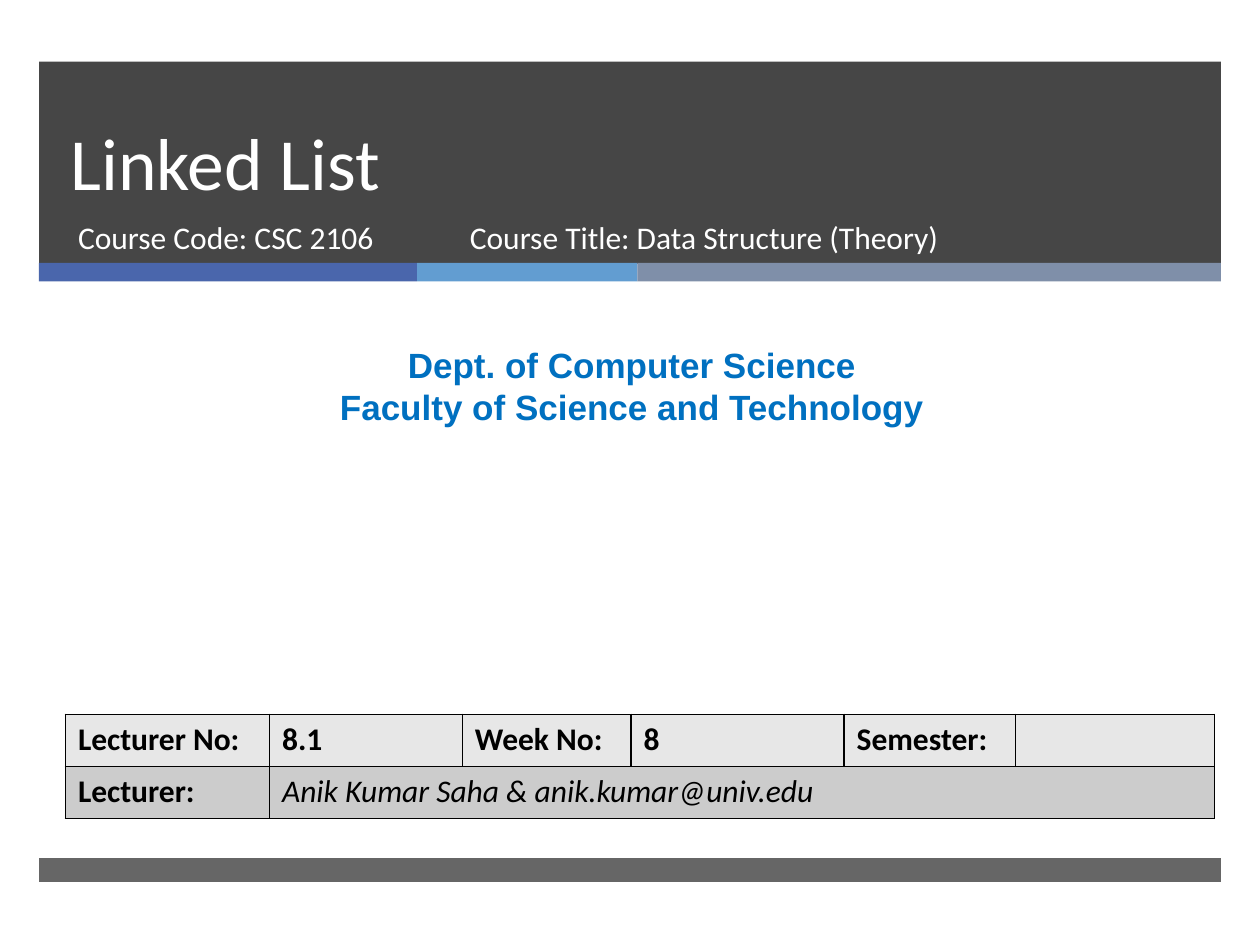
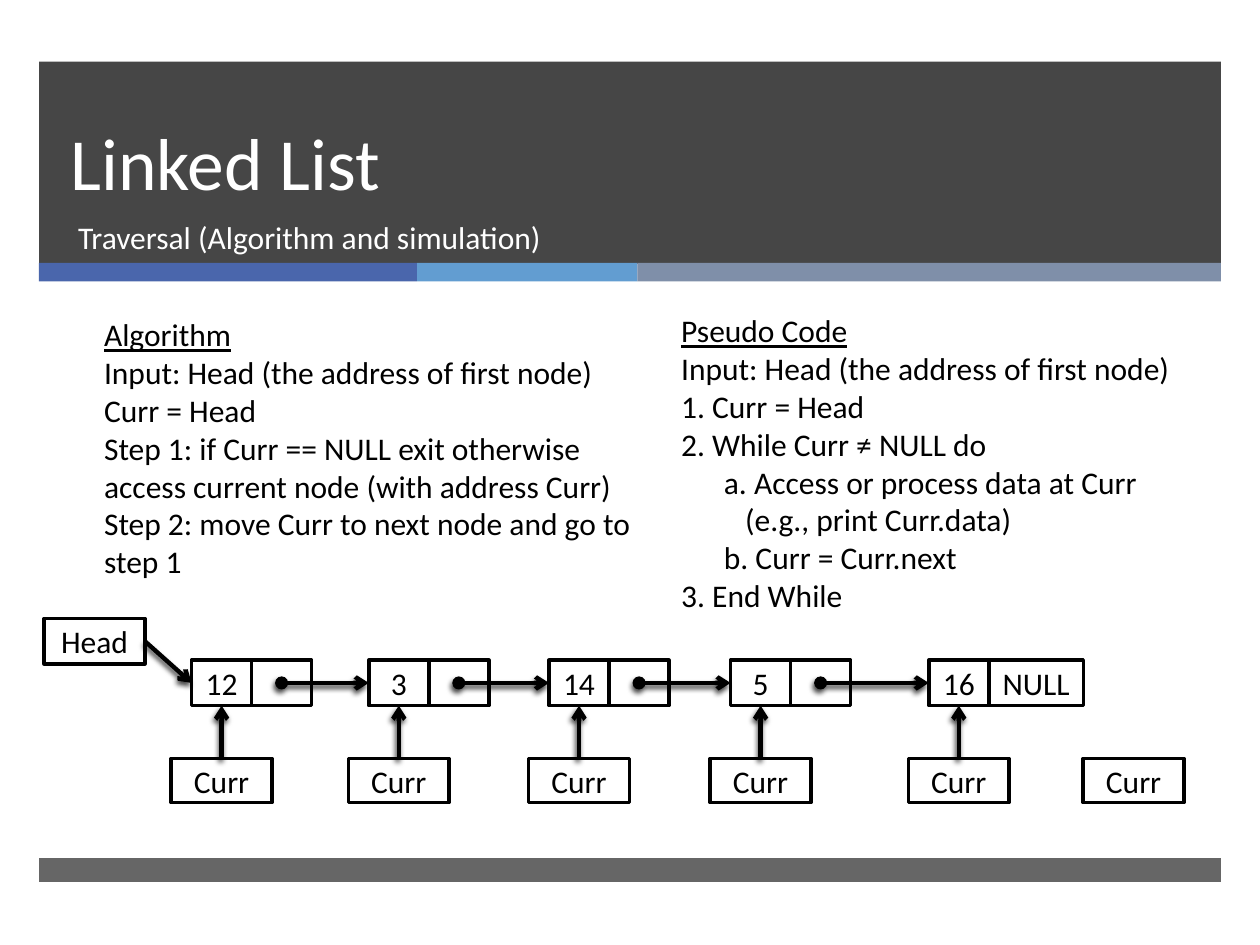
from pptx import Presentation
from pptx.dml.color import RGBColor
from pptx.enum.shapes import MSO_CONNECTOR, MSO_SHAPE
from pptx.enum.text import MSO_ANCHOR, MSO_AUTO_SIZE, PP_ALIGN
from pptx.oxml import parse_xml
from pptx.oxml.ns import nsdecls
from pptx.util import Pt

RECT = MSO_SHAPE.RECTANGLE
LINE = MSO_CONNECTOR.STRAIGHT
LEFT, MID = PP_ALIGN.LEFT, PP_ALIGN.CENTER
TOP, CENTRE, LOW = MSO_ANCHOR.TOP, MSO_ANCHOR.MIDDLE, MSO_ANCHOR.BOTTOM
GROW, FIXED = MSO_AUTO_SIZE.SHAPE_TO_FIT_TEXT, MSO_AUTO_SIZE.NONE

HEX = {
    "dark": "262626", "blue": "4A66AC", "sky": "629DD1", "slate": "7F8FA9",
    "white": "FFFFFF", "black": "000000", "dept": "0070C0",
    "light": "E7E7E7", "grey": "CCCCCC",
}
NS = nsdecls("a")

# Layout measures, in points
EDGE, WIDE = 22.3, 675.4
NODE_Y, NODE_H, CELL_W = 377.3, 25.9, 34.3
CURR_Y, CURR_W, CURR_H = 433.4, 57.6, 25.2
NODES = [("12", 109.5), ("3", 210.75), ("14", 313.75), ("5", 417.5), ("16", 530.75)]


def rgb(name):
    return RGBColor.from_string(HEX[name])


def pts(*nums):
    return [Pt(n) for n in nums]


# Text
def write(frame, lines, size=18, font="Calibri", color="black", bold=False,
          italic=False, align=LEFT, space=None, under=(), indent=None):
    """Fill a text frame; under and indent are keyed by line number."""
    for i, line in enumerate(lines):
        par = frame.paragraphs[0] if i == 0 else frame.add_paragraph()
        par.alignment = align
        par.space_before = Pt(0)
        if space:
            par.line_spacing = Pt(space)
        if indent and i in indent:
            par._p.get_or_add_pPr().set("marL", str(Pt(indent[i])))
        run = par.add_run()
        run.text = line
        face = run.font
        face.name, face.size = font, Pt(size)
        face.bold, face.italic, face.underline = bold, italic, i in under
        face.color.rgb = rgb(color)


def label(slide, box, lines, wrap=True, **form):
    frame = slide.shapes.add_textbox(*pts(*box)).text_frame
    frame.word_wrap = wrap
    frame.auto_size = GROW
    write(frame, lines, **form)


def hold(shape, box, text, anchor, **form):
    """Place and fill a placeholder."""
    shape.left, shape.top, shape.width, shape.height = pts(*box)
    frame = shape.text_frame
    frame.auto_size = FIXED
    frame.vertical_anchor = anchor
    write(frame, [text], color="white", **form)


# Shapes
def block(slide, box, fill, alpha=None):
    shape = slide.shapes.add_shape(RECT, *pts(*box))
    shape.shadow.inherit = False
    shape.fill.solid()
    shape.fill.fore_color.rgb = rgb(fill)
    shape.line.fill.background()
    if alpha:
        tint = shape.element.spPr.find(".//{*}srgbClr")
        tint.append(parse_xml(f'<a:alpha {NS} val="{alpha * 1000}"/>'))
    return shape


def node(slide, box, text=None):
    shape = block(slide, box, "white")
    shape.line.color.rgb = rgb("black")
    shape.line.width = Pt(2)
    if text:
        frame = shape.text_frame
        frame.margin_left = frame.margin_right = 0
        frame.vertical_anchor = CENTRE
        write(frame, [text], align=MID)
    return shape


def arrow(slide, goal, side, source=None, exit=None, start=(0, 0)):
    """Join to a side of goal, from a side of source or from a dotted start."""
    x, y = pts(*start)
    link = slide.shapes.add_connector(LINE, x, y, x, y)
    if source:
        link.begin_connect(source, exit)
    link.end_connect(goal, side)
    link.line.color.rgb = rgb("black")
    link.line.width = Pt(2.5)
    stroke = link.line._get_or_add_ln()
    if not source:
        stroke.append(parse_xml(f'<a:headEnd {NS} type="oval"/>'))
    stroke.append(parse_xml(f'<a:tailEnd {NS} type="arrow"/>'))
    link.element.spPr.append(parse_xml(
        f'<a:effectLst {NS}><a:outerShdw blurRad="{Pt(3)}" dist="{Pt(2)}" '
        f'dir="6600000" rotWithShape="0"><a:srgbClr val="{HEX["black"]}">'
        '<a:alpha val="75000"/></a:srgbClr></a:outerShdw></a:effectLst>'))


# Table
def edge(cell):
    props = cell._tc.get_or_add_tcPr()
    for side in "LRTB":
        props.append(parse_xml(
            f'<a:ln{side} {NS} w="{Pt(1)}"><a:solidFill><a:srgbClr '
            f'val="{HEX["black"]}"/></a:solidFill></a:ln{side}>'))


def grid(slide, spot, cols, high, rows, fills):
    box = (*spot, sum(cols), high * len(rows))
    table = slide.shapes.add_table(len(rows), len(cols), *pts(*box)).table
    table.first_row = table.horz_banding = False
    for col, width in zip(table.columns, cols):
        col.width = Pt(width)
    for r, (row, fill) in enumerate(zip(rows, fills)):
        table.rows[r].height = Pt(high)
        for c in range(len(cols)):
            cell = table.cell(r, c)
            edge(cell)
            cell.fill.solid()
            cell.fill.fore_color.rgb = rgb(fill)
            if c < len(row):
                lean = (r, c) == (1, 1)
                write(cell.text_frame, [row[c]], bold=not lean, italic=lean)
    table.cell(1, 1).merge(table.cell(1, len(cols) - 1))


# Shared look
def bands(slide, layout):
    """Draw the bands and move them to the layout, behind its text."""
    parts = [block(slide, (EDGE, 35.2, WIDE, 115.6), "dark", 85)]
    x = EDGE
    for width, fill in ((216, "blue"), (126, "sky"), (333.4, "slate")):
        parts.append(block(slide, (x, 150.3, width, 10.6), fill))
        x += width
    parts.append(block(slide, (EDGE, 490.3, WIDE, 13.7), "dark", 70))
    for i, part in enumerate(parts):
        layout.shapes.element.insert(2 + i, part.element)


def page(deck, sub, width):
    slide = deck.slides.add_slide(deck.slide_layouts[0])
    hold(slide.shapes.title, (33.1, 35.3, 615, 85.7), "Linked List", LOW,
         size=42, space=46)
    hold(slide.placeholders[1], (37.4, 121, width, 38), sub, TOP)
    return slide


# Slides
def cover(deck):
    slide = page(deck, "Course Code: CSC 2106", 219.6)
    bands(slide, slide.slide_layout)
    label(slide, (5.8, 193, 710.6, 55.4),
          ["Dept. of Computer Science", "Faculty of Science and Technology"],
          size=20, font="Arial", color="dept", bold=True, align=MID)
    grid(slide, (37.4, 408.2), (116.6, 110.2, 96.5, 121.7, 97.9, 113.8), 29.8,
         [["Lecturer No:", "8.1", "Week No:", "8", "Semester:"],
          ["Lecturer:", "Anik Kumar Saha & anik.kumar@univ.edu"]],
         ("light", "grey"))
    label(slide, (261.4, 121, 327.6, 38),
          ["Course Title: Data Structure (Theory)"], color="white")


def chain(slide):
    """Draw the linked nodes with Head and the Curr markers."""
    head = node(slide, (25.2, 353.5, CURR_W, NODE_H), "Head")
    cells = []
    for text, x in NODES:
        last = text == NODES[-1][0]
        cells.append(node(slide, (x, NODE_Y, CELL_W, NODE_H), text))
        node(slide, (x + CELL_W, NODE_Y, 54 if last else CELL_W, NODE_H),
             "NULL" if last else None)
    arrow(slide, cells[0], 1, head, 3)
    for (_, x), goal in zip(NODES, cells[1:]):
        arrow(slide, goal, 1, start=(x + 1.5 * CELL_W, NODE_Y + NODE_H / 2))
    for (_, x), goal in zip(NODES, cells):
        left = x + (CELL_W - CURR_W) / 2
        curr = node(slide, (left, CURR_Y, CURR_W, CURR_H), "Curr")
        arrow(slide, goal, 2, curr, 0)
    node(slide, (619, CURR_Y, CURR_W, CURR_H), "Curr")


def walk(deck):
    slide = page(deck, "Traversal (Algorithm and simulation)", 610.6)
    chain(slide)
    label(slide, (52.4, 176.7, 319.7, 160),
          ["Algorithm", "Input: Head (the address of first node)", "Curr = Head",
           "Step 1: if Curr == NULL exit otherwise access current node "
           "(with address Curr)",
           "Step 2: move Curr to next node and go to step 1"], under=[0])
    label(slide, (382.2, 174.4, 297.4, 203.8),
          ["Pseudo Code", "Input: Head (the address of first node)",
           "1. Curr = Head", "2. While Curr ≠ NULL do",
           "a. Access or process data at Curr", "(e.g., print Curr.data)",
           "b. Curr = Curr.next", "3. End While"],
          wrap=False, under=[0], indent={4: 24.4, 5: 36.6, 6: 24.4})


def main():
    deck = Presentation()
    deck.slide_width, deck.slide_height = pts(720, 540)
    cover(deck)
    walk(deck)
    deck.save("out.pptx")


if __name__ == "__main__":
    main()
